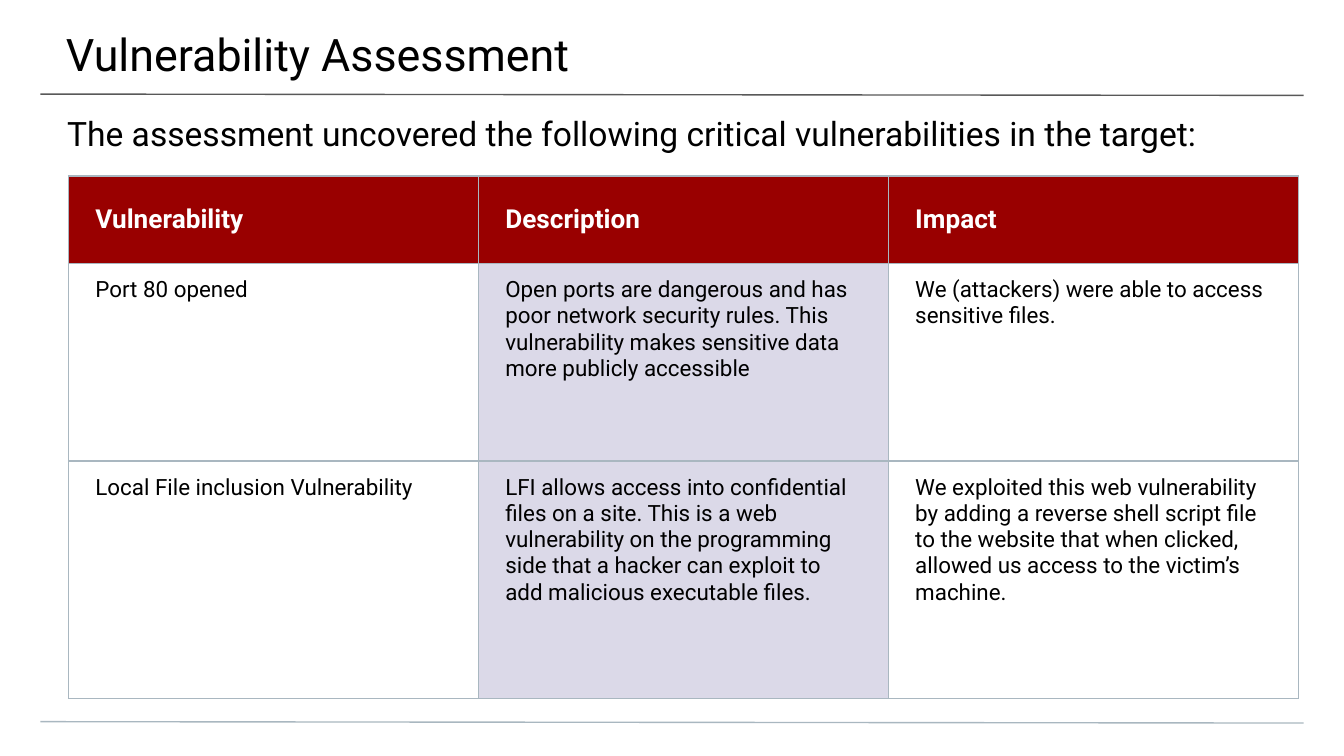
import dataclasses

import pptx
import pptx.dml.color
import pptx.enum.shapes
import pptx.enum.text
import pptx.oxml.ns
import pptx.util
from lxml import etree

Inches = pptx.util.Inches
Pt = pptx.util.Pt


@dataclasses.dataclass(frozen=True)
class Theme:
    """Colours, font and type sizes of the deck."""

    font: str = "Roboto"
    text: str = "000000"
    inverse: str = "FFFFFF"
    header: str = "990000"
    highlight: str = "DBD9E8"
    rule: str = "595959"
    border: str = "A9B7C0"
    title_size: int = 24
    subtitle_size: int = 18
    header_size: int = 14
    body_size: int = 12
    line_width: float = 0.75


class SlideBuilder:
    """Draws styled elements on the current slide."""

    def __init__(self, slide, theme):
        self.slide = slide
        self.theme = theme

    def color(self, value):
        """Return an RGB colour from its hex text."""
        return pptx.dml.color.RGBColor.from_string(value)

    def format_text(self, text_frame, text, size, color, bold=False):
        """Fill a text frame and format its runs."""
        text_frame.text = text
        for paragraph in text_frame.paragraphs:
            paragraph.alignment = pptx.enum.text.PP_ALIGN.LEFT
            for run in paragraph.runs:
                run.font.name = self.theme.font
                run.font.size = Pt(size)
                run.font.bold = bold
                run.font.color.rgb = self.color(color)

    def set_margins(self, target, left, top, right, bottom):
        """Set the inner margins of a text frame or cell."""
        target.margin_left, target.margin_top = Inches(left), Inches(top)
        target.margin_right, target.margin_bottom = Inches(right), Inches(bottom)

    def place_text(self, shape, text, size, margins):
        """Write top-anchored wrapped text in a shape."""
        frame = shape.text_frame
        frame.word_wrap = True
        frame.auto_size = pptx.enum.text.MSO_AUTO_SIZE.NONE
        frame.vertical_anchor = pptx.enum.text.MSO_ANCHOR.TOP
        self.set_margins(frame, *margins)
        self.format_text(frame, text, size, self.theme.text)

    def title(self, text):
        """Move and fill the title placeholder."""
        shape = self.slide.shapes.title
        shape.left, shape.top = Inches(-0.01), Inches(0)
        shape.width, shape.height = Inches(10.03), Inches(0.58)
        self.place_text(shape, text, self.theme.title_size, (0.5, 0.2, 0.3, 0.1))

    def subtitle(self, text):
        """Add the statement below the title."""
        shape = self.slide.shapes.add_textbox(
            Inches(0), Inches(0.74), Inches(10), Inches(0.4))
        self.place_text(shape, text, self.theme.subtitle_size, (0.5, 0.1, 0.5, 0))

    def rule(self, top, color):
        """Draw a slightly sloping rule across the slide."""
        connector = self.slide.shapes.add_connector(
            pptx.enum.shapes.MSO_CONNECTOR.STRAIGHT,
            Inches(0.3), Inches(top), Inches(9.7), Inches(top + 0.01))
        connector.line.color.rgb = self.color(color)
        connector.line.width = Pt(self.theme.line_width)
        properties = connector._element.spPr
        etree.SubElement(properties, pptx.oxml.ns.qn("a:effectLst"))

    def border(self, cell):
        """Outline all four sides of a cell."""
        properties = cell._tc.get_or_add_tcPr()
        for side in ("a:lnL", "a:lnR", "a:lnT", "a:lnB"):
            line = etree.SubElement(
                properties, pptx.oxml.ns.qn(side), w=str(Pt(self.theme.line_width)))
            fill = etree.SubElement(line, pptx.oxml.ns.qn("a:solidFill"))
            etree.SubElement(
                fill, pptx.oxml.ns.qn("a:srgbClr"), val=self.theme.border)

    def cell(self, cell, text, is_header, fill):
        """Fill, outline and write one table cell."""
        theme = self.theme
        self.border(cell)
        if fill:
            cell.fill.solid()
            cell.fill.fore_color.rgb = self.color(fill)
        else:
            cell.fill.background()
        self.set_margins(cell, 0.2, 0.1, 0.2, 0.1)
        if is_header:
            cell.vertical_anchor = pptx.enum.text.MSO_ANCHOR.MIDDLE
            self.format_text(
                cell.text_frame, text, theme.header_size, theme.inverse, True)
        else:
            cell.vertical_anchor = pptx.enum.text.MSO_ANCHOR.TOP
            self.format_text(cell.text_frame, text, theme.body_size, theme.text)

    def table(self, rows, left, top, column_width, row_heights, highlight_column):
        """Add a table with a header row and one tinted column."""
        columns = len(rows[0])
        table = self.slide.shapes.add_table(
            len(rows), columns, Inches(left), Inches(top),
            Inches(column_width * columns), Inches(sum(row_heights))).table
        table.first_row = False
        table.horz_banding = False
        for column in table.columns:
            column.width = Inches(column_width)
        for row_index, (row, height) in enumerate(zip(rows, row_heights)):
            table.rows[row_index].height = Inches(height)
            for column_index, text in enumerate(row):
                is_header = row_index == 0
                fill = None
                if is_header:
                    fill = self.theme.header
                elif column_index == highlight_column:
                    fill = self.theme.highlight
                self.cell(table.cell(row_index, column_index), text, is_header, fill)


VULNERABILITIES = [
    ("Vulnerability", "Description", "Impact"),
    ("Port 80 opened",
     "Open ports are dangerous and has poor network security rules. "
     "This vulnerability makes sensitive data more publicly accessible",
     "We (attackers) were able to access sensitive files."),
    ("Local File inclusion Vulnerability",
     "LFI allows access into confidential files on a site. This is a web "
     "vulnerability on the programming side that a hacker can exploit to "
     "add malicious executable files.",
     "We exploited this web vulnerability by adding a reverse shell script "
     "file to the website that when clicked, allowed us access to the "
     "victim’s machine."),
]


def main():
    """Build and save the vulnerability assessment slide."""
    presentation = pptx.Presentation()
    presentation.slide_width = Inches(10)
    presentation.slide_height = presentation.slide_width * 9 // 16
    slide = presentation.slides.add_slide(presentation.slide_layouts[5])
    theme = Theme()
    builder = SlideBuilder(slide, theme)
    builder.rule(0.7, theme.rule)
    builder.rule(5.37, theme.border)
    builder.title("Vulnerability Assessment")
    builder.subtitle(
        "The assessment uncovered the following critical vulnerabilities in the target:")
    builder.table(VULNERABILITIES, left=0.51, top=1.31, column_width=3.05,
                  row_heights=(0.65, 1.47, 1.77), highlight_column=1)
    presentation.save("out.pptx")


if __name__ == "__main__":
    main()
